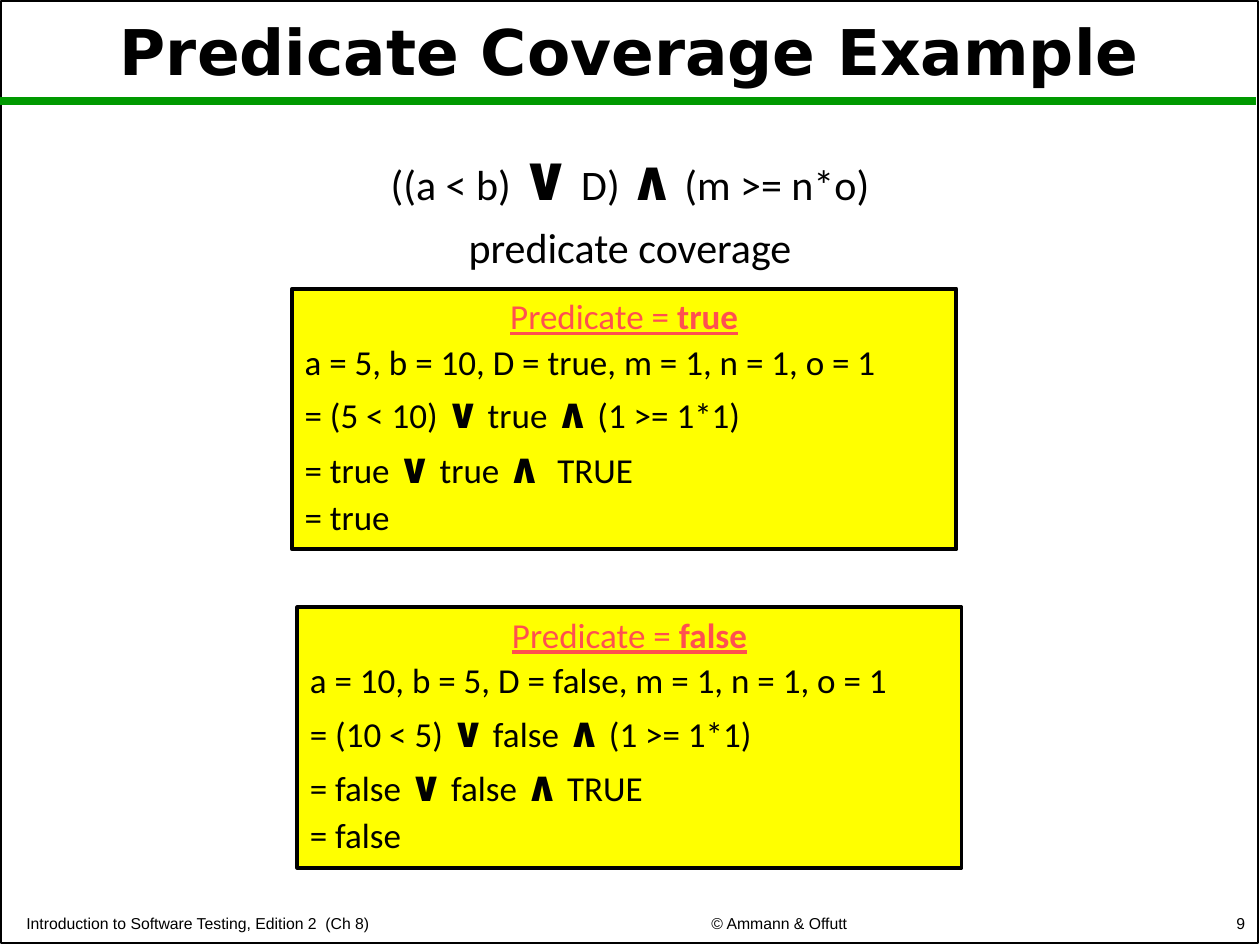
from dataclasses import dataclass
from itertools import groupby

from lxml.etree import SubElement
from pptx import Presentation
from pptx.dml.color import RGBColor as RGB
from pptx.enum.shapes import MSO_CONNECTOR as Connector, MSO_SHAPE as Shape
from pptx.enum.text import MSO_ANCHOR as Anchor, MSO_AUTO_SIZE as AutoSize, PP_ALIGN as Align
from pptx.oxml.ns import qn
from pptx.util import Pt


@dataclass(frozen=True)
class Theme:
    ink: RGB = RGB(0, 0, 0)
    rule: RGB = RGB(0x00, 0x99, 0x00)
    box: RGB = RGB(0xFF, 0xFF, 0x00)
    heading: RGB = RGB(0xFF, 0x50, 0x50)
    title_font: str = "DejaVu Sans"
    body_font: str = "Calibri"
    footer_font: str = "Arial"
    title_size: int = 36
    formula_size: int = 24
    or_size: int = 36
    and_size: int = 32
    step_size: int = 20
    step_operator_size: int = 24
    footer_size: int = 9


@dataclass(frozen=True)
class Area:
    left: float
    top: float
    width: float
    height: float

    def lengths(self) -> list:
        return [Pt(v) for v in (self.left, self.top, self.width, self.height)]


@dataclass(frozen=True)
class Case:
    area: Area
    outcome: str
    steps: tuple


@dataclass(frozen=True)
class Footer:
    area: Area
    text: str
    align: Align


THEME = Theme()
OPERATORS = "∨∧"

CASES = (
    Case(Area(167, 165, 379.5, 149), "true", (
        "a = 5, b = 10, D = true, m = 1, n = 1, o = 1",
        "= (5 < 10) ∨ true ∧ (1 >= 1*1)",
        "= true ∨ true ∧  TRUE",
        "= true",
    )),
    Case(Area(170, 347, 379.5, 149), "false", (
        "a = 10, b = 5, D = false, m = 1, n = 1, o = 1",
        "= (10 < 5) ∨ false ∧ (1 >= 1*1)",
        "= false ∨ false ∧ TRUE",
        "= false",
    )),
)

FOOTERS = (
    Footer(Area(8, 518, 307.5, 18.4), "Introduction to Software Testing, Edition 2  (Ch 8)", Align.LEFT),
    Footer(Area(331.2, 518, 228.2, 18.4), "© Ammann & Offutt", Align.CENTER),
    Footer(Area(568.8, 518, 149.8, 18.4), "9", Align.RIGHT),
)


def place(shape, area: Area) -> None:
    shape.left, shape.top, shape.width, shape.height = area.lengths()


def add_run(paragraph, text: str, font: str, size: float, color: RGB = THEME.ink,
            bold: bool = False, underline: bool = False) -> None:
    run = paragraph.add_run()
    run.text = text
    run.font.name = font
    run.font.size = Pt(size)
    run.font.color.rgb = color
    run.font.bold = bold
    run.font.underline = underline


def add_logic(paragraph, text: str, size: float, or_size: float, and_size: float) -> None:
    """Write a formula with its logical operators large and bold."""
    operator_sizes = dict(zip(OPERATORS, (or_size, and_size)))
    for operator, letters in groupby(text, lambda c: c if c in OPERATORS else ""):
        add_run(paragraph, "".join(letters), THEME.body_font,
                operator_sizes.get(operator, size), bold=bool(operator))


def space_before(paragraph, percent: int) -> None:
    """Set the space before as a share of the line height."""
    paragraph.space_before = Pt(0)
    spacing = paragraph._p.pPr.find(qn("a:spcBef"))
    spacing.remove(spacing[0])
    SubElement(spacing, qn("a:spcPct")).set("val", str(percent * 1000))


def next_paragraph(frame, index: int):
    return frame.add_paragraph() if index else frame.paragraphs[0]


def add_frame(slide) -> None:
    border = slide.shapes.add_shape(Shape.RECTANGLE, *Area(0.75, 0.75, 718, 538).lengths())
    border.shadow.inherit = False
    border.fill.background()
    border.line.color.rgb = THEME.ink
    border.line.width = Pt(1)

    rule = slide.shapes.add_connector(Connector.STRAIGHT, Pt(0), Pt(57.6), Pt(718), Pt(57.6))
    rule.line.color.rgb = THEME.rule
    rule.line.width = Pt(4.5)
    SubElement(rule._element.spPr, qn("a:effectLst"))


def add_footer(slide, footer: Footer) -> None:
    frame = slide.shapes.add_textbox(*footer.area.lengths()).text_frame
    frame.word_wrap = True
    frame.vertical_anchor = Anchor.BOTTOM
    paragraph = frame.paragraphs[0]
    paragraph.alignment = footer.align
    add_run(paragraph, footer.text, THEME.footer_font, THEME.footer_size)


def fill_title(title, text: str) -> None:
    place(title, Area(7.2, 3.6, 705, 56))
    frame = title.text_frame
    frame.auto_size = AutoSize.NONE
    frame.vertical_anchor = Anchor.MIDDLE
    paragraph = frame.paragraphs[0]
    paragraph.alignment = Align.CENTER
    paragraph.line_spacing = 0.9
    add_run(paragraph, text, THEME.title_font, THEME.title_size, bold=True)


def fill_body(body, lines: tuple) -> None:
    place(body, Area(10.8, 80, 698.4, 71.3))
    frame = body.text_frame
    frame.auto_size = AutoSize.NONE
    for index, line in enumerate(lines):
        paragraph = next_paragraph(frame, index)
        paragraph.alignment = Align.CENTER
        paragraph.line_spacing = 0.9
        space_before(paragraph, 30)
        properties = paragraph._p.pPr
        properties.set("marL", str(Pt(22.5)))
        properties.set("indent", str(-Pt(22.5)))
        SubElement(properties, qn("a:buNone"))
        add_logic(paragraph, line, THEME.formula_size, THEME.or_size, THEME.and_size)


def add_case(slide, case: Case) -> None:
    box = slide.shapes.add_shape(Shape.RECTANGLE, *case.area.lengths())
    box.shadow.inherit = False
    box.fill.solid()
    box.fill.fore_color.rgb = THEME.box
    box.line.color.rgb = THEME.ink
    box.line.width = Pt(2.25)
    frame = box.text_frame
    frame.word_wrap = True
    frame.auto_size = AutoSize.SHAPE_TO_FIT_TEXT
    frame.vertical_anchor = Anchor.TOP

    heading = frame.paragraphs[0]
    heading.alignment = Align.CENTER
    space_before(heading, 10)
    for text, bold in (("Predicate = ", False), (case.outcome, True)):
        add_run(heading, text, THEME.body_font, THEME.step_size, THEME.heading, bold, underline=True)

    for step in case.steps:
        paragraph = frame.add_paragraph()
        paragraph.alignment = Align.LEFT
        space_before(paragraph, 10)
        add_logic(paragraph, step, THEME.step_size, THEME.step_operator_size, THEME.step_operator_size)


def main() -> None:
    deck = Presentation()
    deck.slide_width, deck.slide_height = Pt(720), Pt(540)
    slide = deck.slides.add_slide(deck.slide_layouts[1])
    add_frame(slide)
    for footer in FOOTERS:
        add_footer(slide, footer)
    title, body = slide.placeholders
    fill_title(title, "Predicate Coverage Example")
    fill_body(body, ("((a < b) ∨ D) ∧ (m >= n*o)", "predicate coverage"))
    for case in CASES:
        add_case(slide, case)
    deck.save("out.pptx")


if __name__ == "__main__":
    main()
